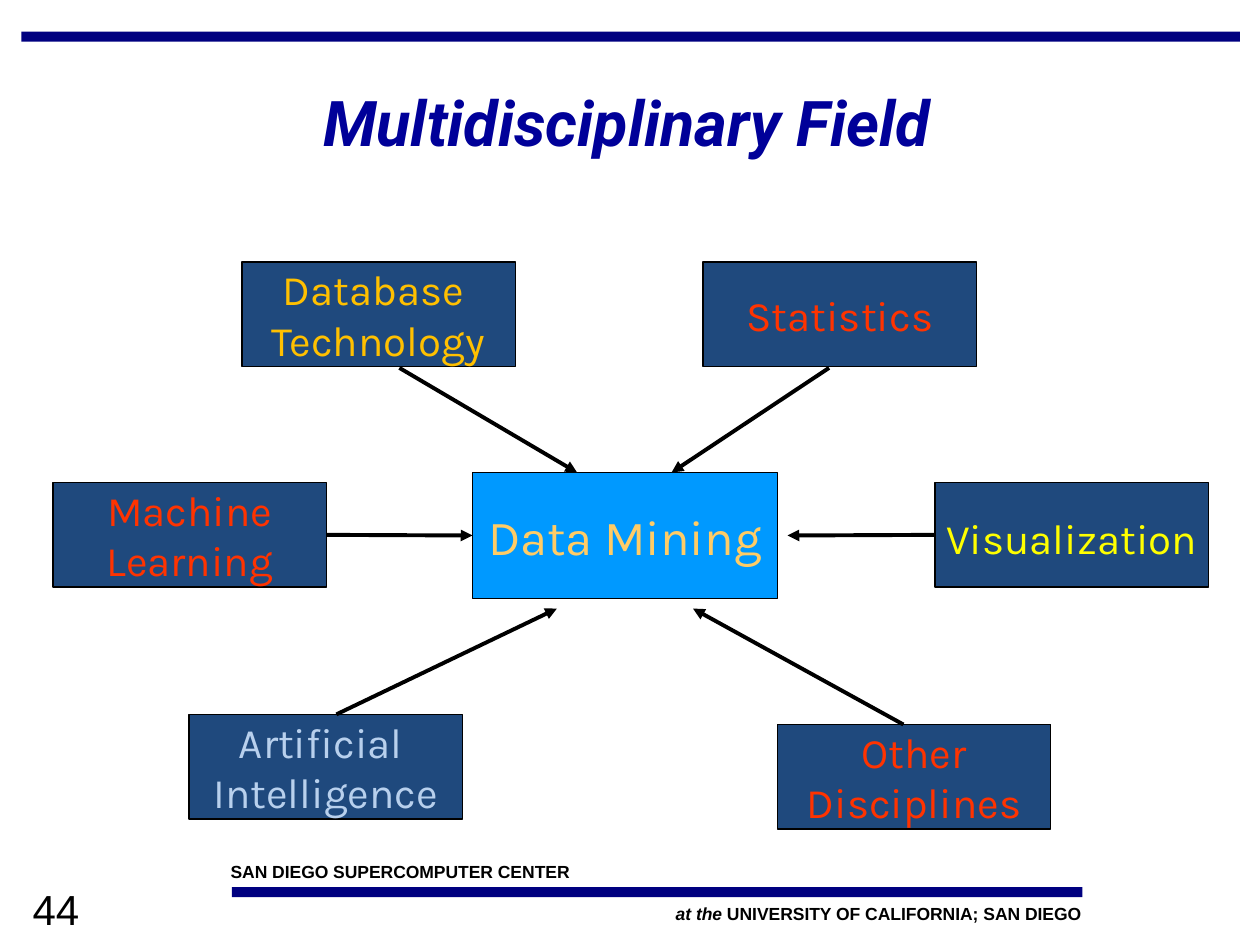
from lxml.etree import SubElement
from pptx import Presentation
from pptx.dml.color import RGBColor
from pptx.enum.shapes import MSO_CONNECTOR, MSO_SHAPE
from pptx.enum.text import MSO_ANCHOR as Anchor, PP_ALIGN as Align
from pptx.oxml.ns import qn
from pptx.util import Inches, Pt

NAVY, BLACK, RED = "000080", "000000", "FF3300"
TOP, LEFT, BOTTOM, RIGHT = range(4)


def color(value):
    return RGBColor.from_string(value)


def write(shape, *lines, size=24, font="Arial", ink=BLACK, bold=False, italic=False,
          align=Align.LEFT, anchor=Anchor.TOP, wrap=True, margins=(0.1, 0.05),
          spacing=None):
    """Write each line as a paragraph; a line is a string or a list of (text, italic) runs."""
    frame = shape.text_frame
    frame.word_wrap = wrap
    frame.vertical_anchor = anchor
    frame.margin_left = frame.margin_right = Inches(margins[0])
    frame.margin_top = frame.margin_bottom = Inches(margins[1])
    for index, line in enumerate(lines):
        paragraph = frame.add_paragraph() if index else frame.paragraphs[0]
        paragraph.alignment = align
        if spacing:
            paragraph.line_spacing = spacing
        for text, slanted in [(line, italic)] if isinstance(line, str) else line:
            run = paragraph.add_run()
            run.text = text
            run.font.name, run.font.size = font, Pt(size)
            run.font.bold, run.font.italic = bold, slanted
            run.font.color.rgb = color(ink)


class Diagram:
    """Draws bars, labels, boxes and arrows in one style on the current slide."""

    box_font = "Karla"
    box_size = (2.17, 0.83)

    def __init__(self, slide):
        self.shapes = slide.shapes

    def rectangle(self, left, top, width, height, fill):
        shape = self.shapes.add_shape(MSO_SHAPE.RECTANGLE, Inches(left), Inches(top),
                                      Inches(width), Inches(height))
        shape.shadow.inherit = False
        shape.fill.solid()
        shape.fill.fore_color.rgb = color(fill)
        return shape

    def bar(self, left, top, width):
        self.rectangle(left, top, width, 0.08, NAVY).line.fill.background()

    def label(self, left, top, width, height, line, **style):
        shape = self.shapes.add_textbox(Inches(left), Inches(top), Inches(width), Inches(height))
        write(shape, line, **style)

    def box(self, left, top, lines, ink, fill="1F497D", extent=box_size, size=24, spacing=None):
        shape = self.rectangle(left, top, *extent, fill)
        shape.line.color.rgb = color(BLACK)
        shape.line.width = Pt(0.75)
        write(shape, *lines, size=size, font=self.box_font, ink=ink, align=Align.CENTER,
              anchor=Anchor.MIDDLE, wrap=False, spacing=spacing)
        return shape

    def arrow(self, start, end, begin_join=None, end_join=None):
        points = [Inches(length) for length in (*start, *end)]
        connector = self.shapes.add_connector(MSO_CONNECTOR.STRAIGHT, *points)
        if begin_join:
            connector.begin_connect(*begin_join)
        if end_join:
            connector.end_connect(*end_join)
        connector.line.color.rgb = color(BLACK)
        connector.line.width = Pt(2.25)
        SubElement(connector.line._get_or_add_ln(), qn("a:tailEnd"), type="triangle")
        SubElement(connector._element.spPr, qn("a:effectLst"))


def main():
    presentation = Presentation()
    presentation.slide_width, presentation.slide_height = Inches(10), Inches(7.5)
    diagram = Diagram(presentation.slides.add_slide(presentation.slide_layouts[6]))

    diagram.bar(0.17, 0.25, 9.67)
    diagram.bar(1.84, 7.04, 6.75)
    footer = dict(size=10, bold=True, margins=(0, 0))
    diagram.label(1.83, 6.83, 6.25, 0.17, "SAN DIEGO SUPERCOMPUTER CENTER", **footer)
    diagram.label(2.33, 7.17, 6.25, 0.17,
                  [("at the", True), (" UNIVERSITY OF CALIFORNIA; SAN DIEGO", False)],
                  align=Align.RIGHT, **footer)
    diagram.label(0.16, 6.96, 2.08, 0.5, "44")
    diagram.label(0.25, 0.58, 9.45, 0.83, "Multidisciplinary Field", size=36, font="Roboto",
                  ink="000099", bold=True, italic=True, align=Align.CENTER,
                  anchor=Anchor.MIDDLE, spacing=0.95)

    mining = diagram.box(3.75, 3.75, ["Data Mining"], "FFCC66", fill="0099FF",
                         extent=(2.42, 1), size=28)
    diagram.box(1.92, 2.08, ["Database ", "Technology"], "FFC000")
    diagram.box(5.58, 2.08, ["Statistics"], RED)
    diagram.box(6.17, 5.75, ["Other", "Disciplines"], RED)
    diagram.box(1.5, 5.67, ["Artificial ", "Intelligence"], "B8D0ED")
    learning = diagram.box(0.42, 3.83, ["Machine", "Learning"], RED)
    visualization = diagram.box(7.42, 3.83, ["Visualization"], "FFFF00", spacing=1.1)

    diagram.arrow((2.58, 4.25), (3.75, 4.25), (learning, RIGHT), (mining, LEFT))
    diagram.arrow((7.42, 4.25), (6.25, 4.25), (visualization, LEFT))
    for start, end in [((3.17, 2.92), (4.58, 3.75)), ((6.58, 2.92), (5.33, 3.75)),
                       ((7.17, 5.75), (5.5, 4.83)), ((2.67, 5.67), (4.42, 4.83))]:
        diagram.arrow(start, end)

    presentation.save("out.pptx")


if __name__ == "__main__":
    main()
